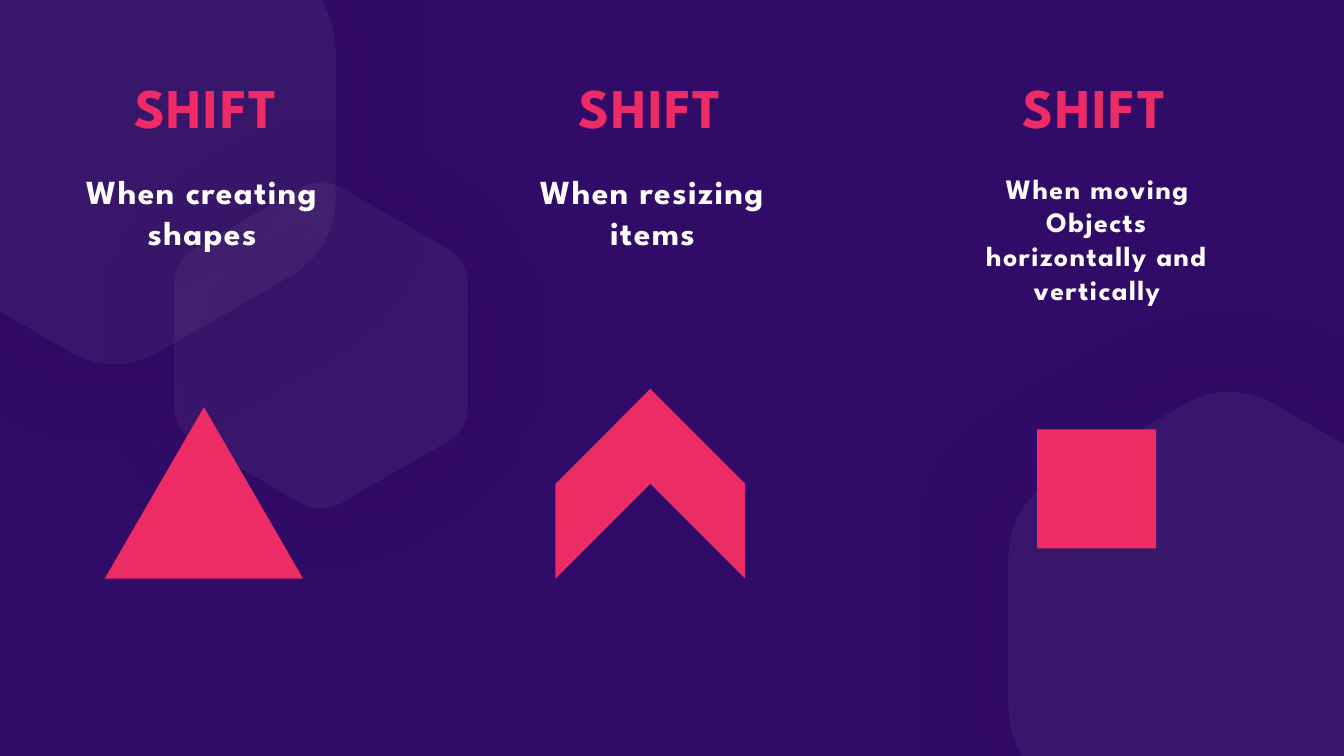
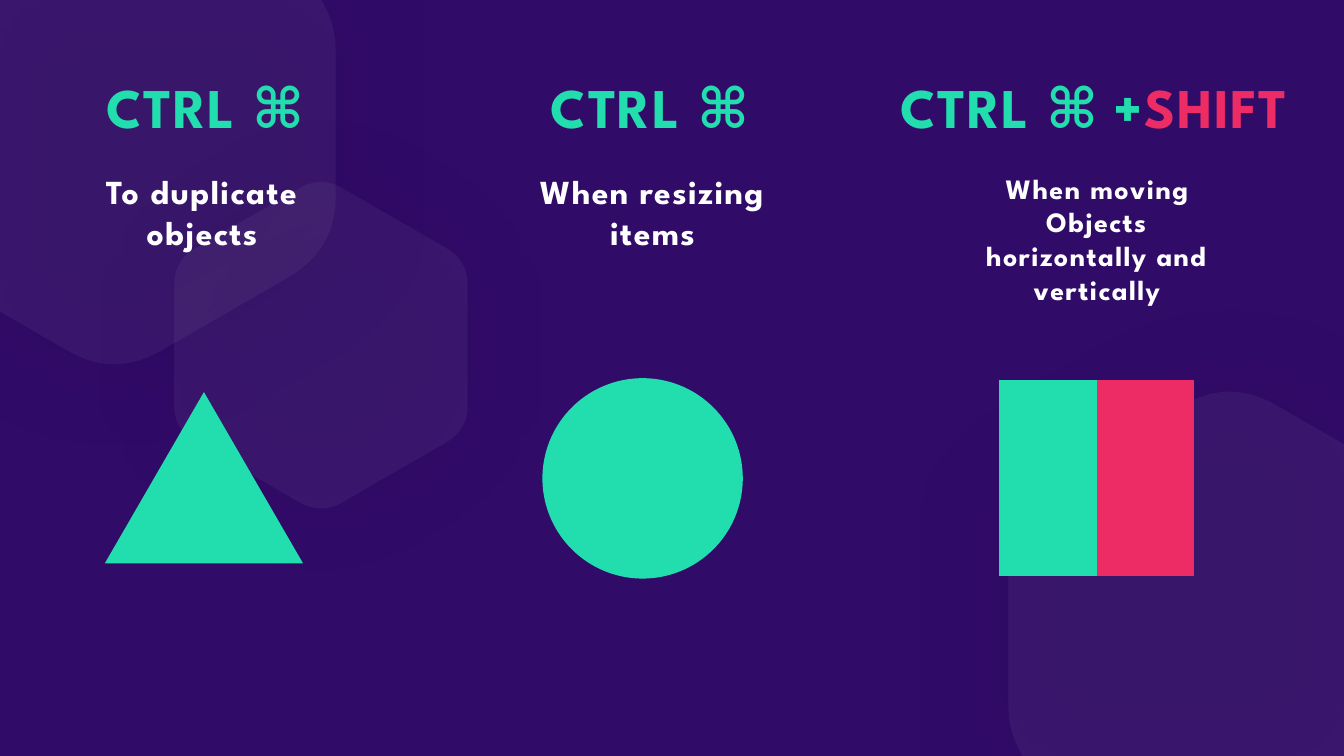
"""Builds two slides on the shift and control keys for drawing."""
from math import cos, dist, pi, sin

from lxml import etree
from pptx import Presentation
from pptx import util as u
from pptx.dml.color import RGBColor
from pptx.enum import shapes, text
from pptx.oxml import ns

NAVY = RGBColor(0x31, 0x0B, 0x68)
PINK = RGBColor(0xED, 0x2B, 0x65)
MINT = RGBColor(0x22, 0xDD, 0xAD)
WHITE = RGBColor(0xFF, 0xFF, 0xFF)
BLACK = RGBColor(0, 0, 0)
FONT = "League Spartan"
KIND = shapes.MSO_SHAPE
WIDE, HIGH = 33.87, 19.05
LEFTS = [1.88 + 11.2 * i for i in range(3)]
CORNER = [(0, 0, 0), (0, 7.85, 0), (2.88, 9.52, 1.36),
          (8.46, 6.3, 1.36), (8.46, 0.64, 0.64), (8.1, 0, 0)]
FLIP = [(WIDE - x, HIGH - y, cut) for x, y, cut in CORNER]
HEX = [(8.09 + 4.27 * sin(i * pi / 3), 8.7 - 4.27 * cos(i * pi / 3), 0.62)
       for i in range(6)]
CTRL = [("CTRL ", MINT, 1), ("⌘", MINT, 0)]
BOTH = [("CTRL ", MINT, 1), ("⌘ ", MINT, 0), ("+", MINT, 1), ("SHIFT", PINK, 1)]
SHIFT = [("SHIFT", PINK, 1)]
RESIZE = "When resizing items"
MOVE = "When moving\nObjects horizontally and vertically"


def toward(start, end, gap):
    """Return the point a given gap from start on the way to end."""
    part = gap / dist(start, end)
    return tuple(a + (b - a) * part for a, b in zip(start, end))


def smooth(nodes, steps=12):
    """Return outline points with each node's corner rounded by its cut."""
    spots = []
    for i, (x, y, cut) in enumerate(nodes):
        if not cut:
            spots.append((x, y))
            continue
        tip = (x, y)
        first = toward(tip, nodes[i - 1][:2], cut)
        last = toward(tip, nodes[(i + 1) % len(nodes)][:2], cut)
        for t in (n / steps for n in range(steps + 1)):
            spots.append(tuple((1 - t) ** 2 * a + 2 * t * (1 - t) * b + t * t * c
                               for a, b, c in zip(first, tip, last)))
    return spots


def add_tag(node, name, **attrs):
    """Append a drawing element with the given attributes."""
    tag = etree.SubElement(node, ns.qn(name))
    for key, val in attrs.items():
        tag.set(key, str(val))
    return tag


def paint(shape, color):
    """Give a shape a plain fill with no line or shadow."""
    shape.fill.solid()
    shape.fill.fore_color.rgb = color
    shape.line.fill.background()
    shape.shadow.inherit = False


def add_veil(slide, nodes):
    """Draw a rounded, nearly clear outline with a soft shadow."""
    spots = [(u.Cm(x), u.Cm(y)) for x, y in smooth(nodes)]
    pen = slide.shapes.build_freeform(*spots[0], scale=1.0)
    pen.add_line_segments(spots[1:], close=True)
    veil = pen.convert_to_shape()
    paint(veil, WHITE)
    props = veil._element.spPr
    add_tag(props.find(".//" + ns.qn("a:srgbClr")), "a:alpha", val=5000)
    glow = add_tag(props.find(ns.qn("a:effectLst")), "a:outerShdw",
                   blurRad=u.Pt(75), dist=0, dir=0, algn="ctr", rotWithShape=0)
    add_tag(glow, "a:srgbClr", val=BLACK)


def add_box(slide, left, top, width, height):
    """Add an empty wrapping text box and return its frame."""
    box = slide.shapes.add_textbox(*map(u.Cm, (left, top, width, height)))
    frame = box.text_frame
    frame.word_wrap = True
    frame.auto_size = text.MSO_AUTO_SIZE.SHAPE_TO_FIT_TEXT
    return frame


def style(run, size, color, space=1):
    """Set the bold deck font on a run."""
    font = run.font
    font.name, font.size, font.bold = FONT, u.Pt(size), True
    font.color.rgb = color
    run._r.get_or_add_rPr().set("spc", str(space * 100))


def add_head(slide, left, parts, width=6.6):
    """Add a key name made of coloured parts."""
    para = add_box(slide, left, 1.7, width, 1.96).paragraphs[0]
    para.alignment = text.PP_ALIGN.CENTER
    for words, color, space in parts:
        run = para.add_run()
        run.text = words
        style(run, 40, color, space)


def add_note(slide, left, words, size=24, height=2.31):
    """Add a centred white caption."""
    frame = add_box(slide, left, 4.19, 6.73, height)
    frame.text = words
    for para in frame.paragraphs:
        para.alignment = text.PP_ALIGN.CENTER
        for run in para.runs:
            style(run, size, WHITE)


def add_form(slide, kind, color, left, top, width, height):
    """Add a plain preset shape."""
    form = slide.shapes.add_shape(kind, *map(u.Cm, (left, top, width, height)))
    paint(form, color)
    return form


def split(form, *colors):
    """Fill a shape half and half with two colours."""
    form.fill.gradient()
    form.fill.gradient_angle = 0
    for stop, color in zip(form.fill.gradient_stops, colors):
        stop.color.rgb = color
        stop.position = 0.5


def add_page(deck, first, color, drop):
    """Add a slide with its backdrop, captions and triangle."""
    slide = deck.slides.add_slide(deck.slide_layouts[6])
    slide.background.fill.solid()
    slide.background.fill.fore_color.rgb = NAVY
    for nodes in (CORNER, HEX, FLIP):
        add_veil(slide, nodes)
    add_note(slide, 1.73, first)
    add_note(slide, LEFTS[1], RESIZE)
    add_note(slide, LEFTS[2], MOVE, 20, 3.68)
    add_form(slide, KIND.ISOSCELES_TRIANGLE, color, 2.64, drop, 5, 4.32)
    return slide


def main():
    """Build and save the deck."""
    deck = Presentation()
    deck.slide_width, deck.slide_height = u.Cm(WIDE), u.Cm(HIGH)

    page = add_page(deck, "When creating shapes", PINK, 10.26)
    for left in LEFTS:
        add_head(page, left, SHIFT)
    add_form(page, KIND.CHEVRON, PINK, 14, 9.8, 4.78, 4.78).rotation = 270
    add_form(page, KIND.RECTANGLE, PINK, 26.14, 10.82, 3, 3)

    page = add_page(deck, "To duplicate objects", MINT, 9.88)
    for left in LEFTS[:2]:
        add_head(page, left, CTRL)
    add_head(page, 21.41, BOTH, 12.32)
    add_form(page, KIND.OVAL, MINT, 13.67, 9.53, 5.05, 5.05)
    split(add_form(page, KIND.RECTANGLE, MINT, 25.17, 9.58, 4.93, 4.93), MINT, PINK)

    deck.save("out.pptx")


if __name__ == "__main__":
    main()
